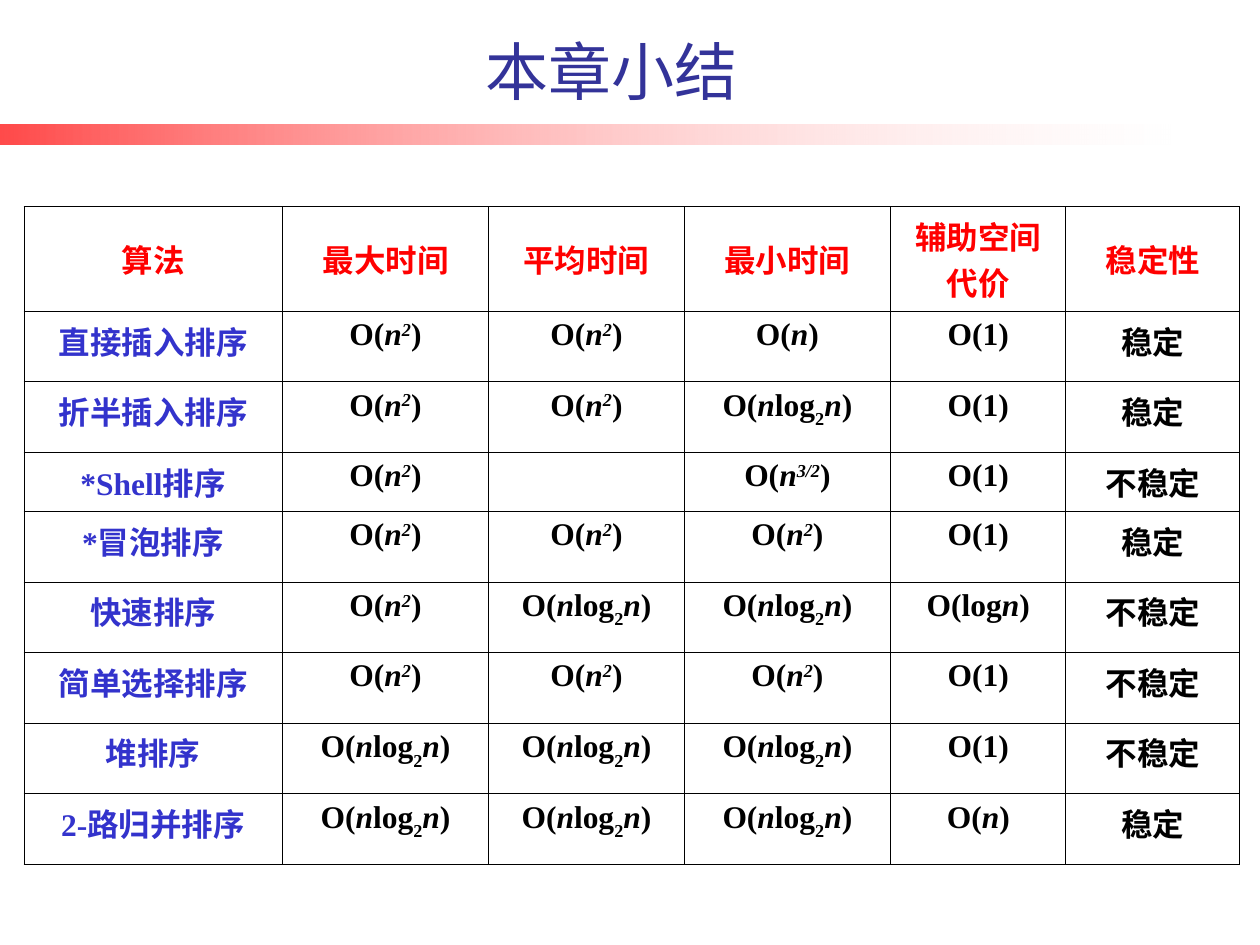
from lxml import etree
from pptx import Presentation
from pptx.dml.color import RGBColor
from pptx.enum.shapes import MSO_SHAPE
from pptx.enum.text import MSO_ANCHOR, PP_ALIGN
from pptx.oxml.ns import qn
from pptx.util import Inches, Pt

RECTANGLE = MSO_SHAPE.RECTANGLE
CENTER = PP_ALIGN.CENTER
TOP, MIDDLE, BOTTOM = MSO_ANCHOR.TOP, MSO_ANCHOR.MIDDLE, MSO_ANCHOR.BOTTOM

COLORS = {
    "title": "333399",
    "header": "FF0000",
    "algorithm": "3333CC",
    "body": "000000",
    "border": "000000",
    "bar_start": "FFFFFF",
    "bar_end": "FF0000",
}
TITLE_FONT, TABLE_FONT = "Cabin", "Times New Roman"

# A formula is a list of (text, italic, baseline in percent).
OPEN, CLOSE, N = ("O(", False, 0), (")", False, 0), ("n", True, 0)
CONSTANT = [("O(1)", False, 0)]
LINEAR = [OPEN, N, CLOSE]
SQUARE = [OPEN, N, ("2", True, 30), CLOSE]
POWER_3_2 = [OPEN, N, ("3/2", True, 30), CLOSE]
LOG = [("O(log", False, 0), N, CLOSE]
N_LOG_N = [OPEN, N, ("log", False, 0), ("2", False, -30), N, CLOSE]
EMPTY = []

HEADERS = ["算法", "最大时间", "平均时间", "最小时间", "辅助空间代价", "稳定性"]
ALGORITHMS = [
    ("直接插入排序", SQUARE, SQUARE, LINEAR, CONSTANT, "稳定"),
    ("折半插入排序", SQUARE, SQUARE, N_LOG_N, CONSTANT, "稳定"),
    ("*Shell排序", SQUARE, EMPTY, POWER_3_2, CONSTANT, "不稳定"),
    ("*冒泡排序", SQUARE, SQUARE, SQUARE, CONSTANT, "稳定"),
    ("快速排序", SQUARE, N_LOG_N, N_LOG_N, LOG, "不稳定"),
    ("简单选择排序", SQUARE, SQUARE, SQUARE, CONSTANT, "不稳定"),
    ("堆排序", N_LOG_N, N_LOG_N, N_LOG_N, CONSTANT, "不稳定"),
    ("2-路归并排序", N_LOG_N, N_LOG_N, N_LOG_N, LINEAR, "稳定"),
]
COLUMN_WIDTHS = [2.05, 1.64, 1.55, 1.64, 1.39, 1.38]
ROW_HEIGHTS = [0.83, 0.56, 0.56, 0.47] + [0.56] * 5


def style_paragraph(paragraph, font_name, size, color, bold=False):
    paragraph.alignment = CENTER
    font = paragraph.font
    font.name, font.size, font.bold = font_name, Pt(size), bold
    font.color.rgb = RGBColor.from_string(COLORS[color])


def add_gradient_bar(slide, left, top, width, height):
    bar = slide.shapes.add_shape(RECTANGLE, left, top, width, height)
    bar.shadow.inherit = False
    bar.line.fill.background()
    bar.fill.gradient()
    bar.fill.gradient_angle = 180
    for stop, color in zip(bar.fill.gradient_stops, ("bar_start", "bar_end")):
        stop.color.rgb = RGBColor.from_string(COLORS[color])
    color_elements = bar._element.spPr.iter(qn("a:srgbClr"))
    for element, opacity in zip(color_elements, (18, 71)):
        etree.SubElement(element, qn("a:alpha"), val=str(opacity * 1000))


def add_title(slide, left, top, width, height):
    frame = slide.shapes.add_textbox(left, top, width, height).text_frame
    frame.word_wrap = True
    frame.vertical_anchor = BOTTOM
    frame.text = "本章小结"
    style_paragraph(frame.paragraphs[0], TITLE_FONT, 36, "title")


def set_borders(cell):
    properties = cell._tc.get_or_add_tcPr()
    for side in ("lnL", "lnR", "lnT", "lnB"):
        line = etree.SubElement(properties, qn(f"a:{side}"), w=str(Pt(0.45)))
        fill = etree.SubElement(line, qn("a:solidFill"))
        etree.SubElement(fill, qn("a:srgbClr"), val=COLORS["border"])


def fill_cell(cell, content, color, anchor):
    """Write plain text or a formula into a bordered cell."""
    set_borders(cell)
    cell.fill.background()
    cell.vertical_anchor = anchor
    paragraph = cell.text_frame.paragraphs[0]
    style_paragraph(paragraph, TABLE_FONT, 18, color, bold=True)
    parts = [(content, False, 0)] if isinstance(content, str) else content
    for text, italic, baseline in parts:
        run = paragraph.add_run()
        run.text = text
        if italic:
            run.font.italic = True
        if baseline:
            run._r.get_or_add_rPr().set("baseline", str(baseline * 1000))


def add_summary_table(slide, left, top, width, height):
    rows = [HEADERS, *ALGORITHMS]
    table = slide.shapes.add_table(
        len(rows), len(HEADERS), left, top, width, height).table
    table.first_row = table.horz_banding = False
    for column, column_width in zip(table.columns, COLUMN_WIDTHS):
        column.width = Inches(column_width)
    for row, row_height in zip(table.rows, ROW_HEIGHTS):
        row.height = Inches(row_height)
    for row_index, contents in enumerate(rows):
        for column_index, content in enumerate(contents):
            if row_index == 0:
                color, anchor = "header", MIDDLE
            else:
                color, anchor = "body" if column_index else "algorithm", TOP
            fill_cell(table.cell(row_index, column_index), content, color, anchor)


def main():
    presentation = Presentation()
    presentation.slide_width = Inches(10)
    presentation.slide_height = Inches(7.5)
    slide = presentation.slides.add_slide(presentation.slide_layouts[6])
    add_gradient_bar(slide, Inches(0), Inches(0.99), Inches(9.29), Inches(0.16))
    add_title(slide, Inches(0.59), Inches(0.2), Inches(8.52), Inches(0.71))
    add_summary_table(
        slide, Inches(0.19), Inches(1.64),
        Inches(sum(COLUMN_WIDTHS)), Inches(sum(ROW_HEIGHTS)))
    presentation.save("out.pptx")


if __name__ == "__main__":
    main()
